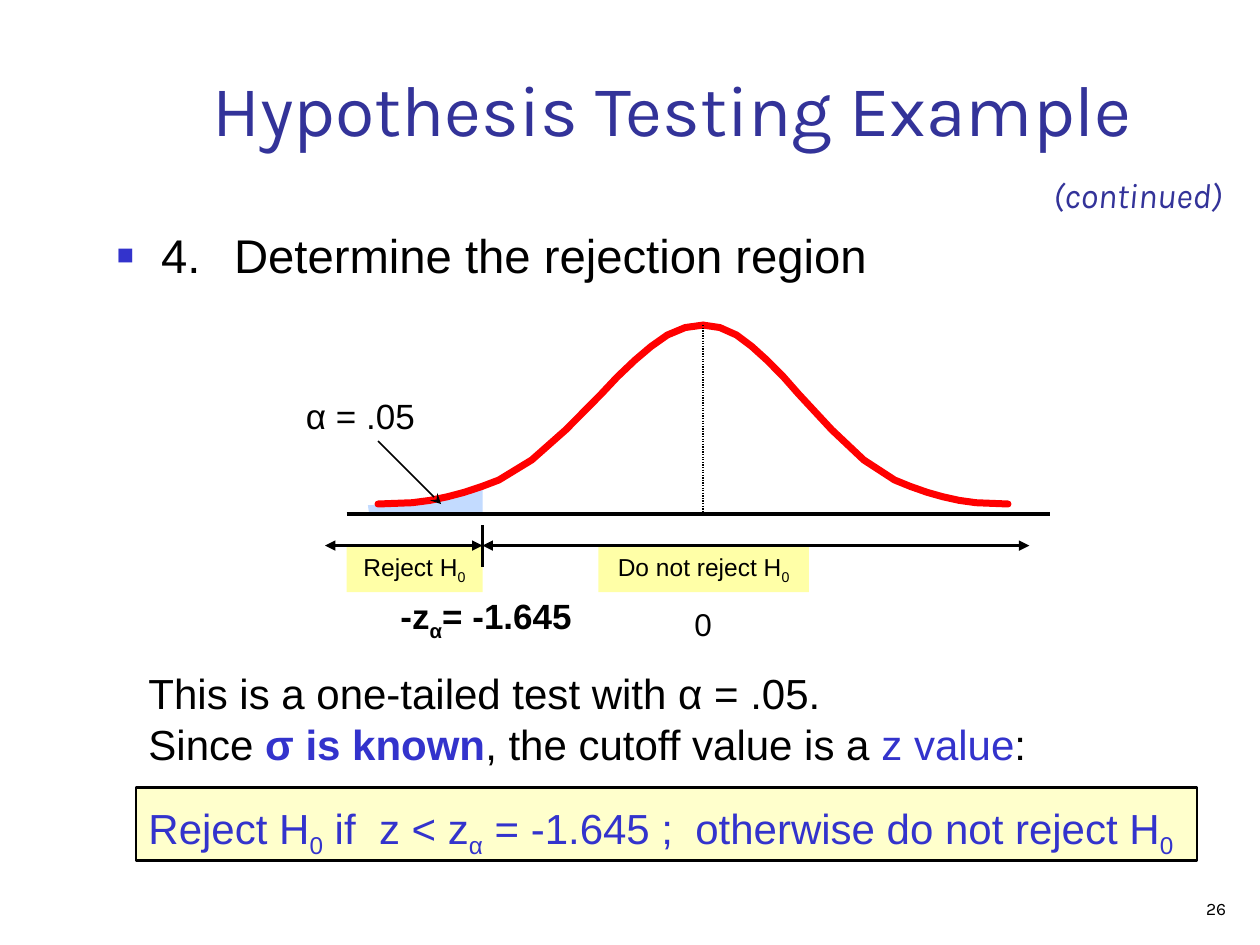
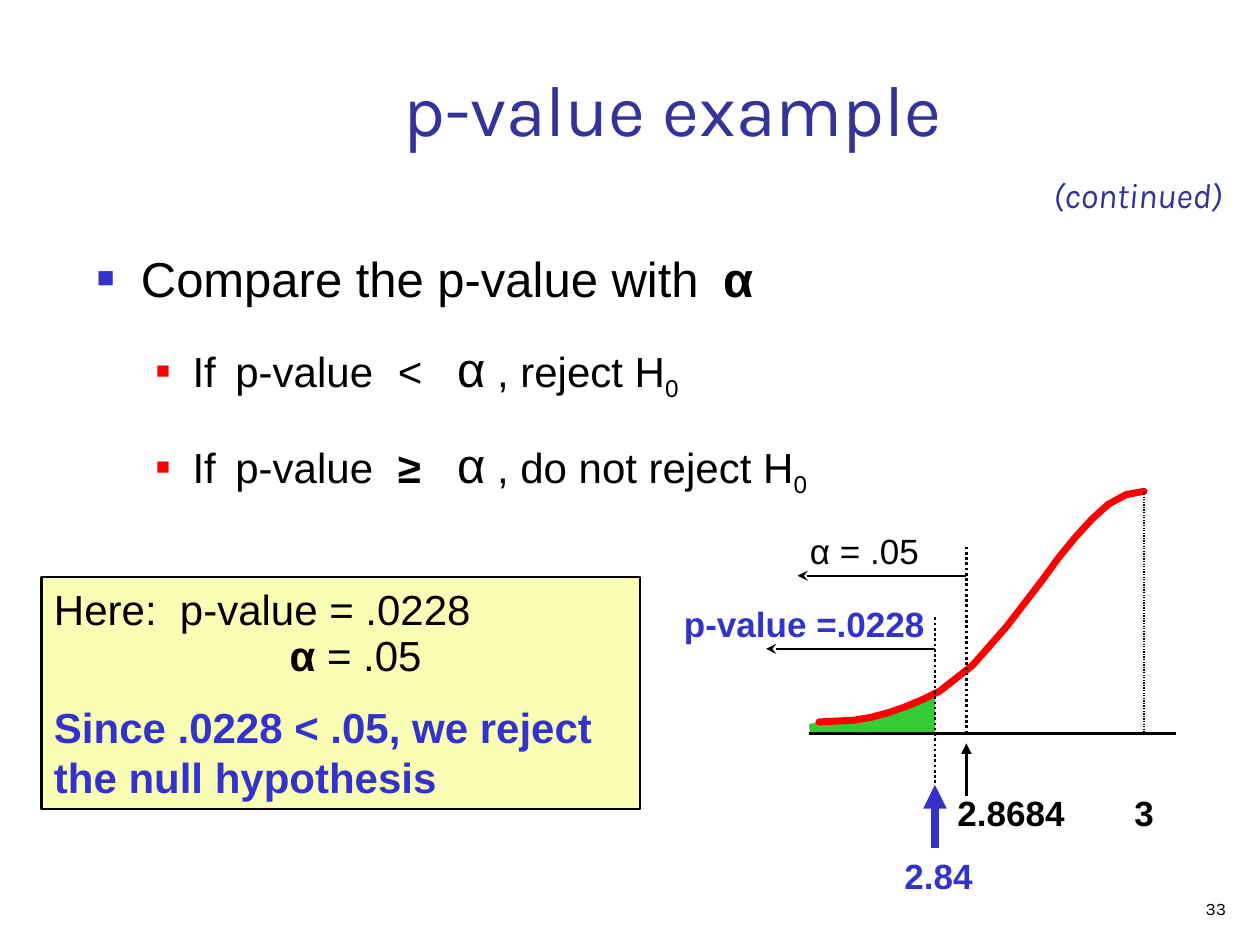
from lxml import etree
from pptx import Presentation
from pptx.dml.color import RGBColor
from pptx.enum.dml import MSO_LINE
from pptx.enum.shapes import MSO_CONNECTOR, MSO_SHAPE
from pptx.enum.text import MSO_ANCHOR, PP_ALIGN
from pptx.oxml.ns import qn
from pptx.util import Inches, Pt

LEFT, MID, RIGHT = PP_ALIGN.LEFT, PP_ALIGN.CENTER, PP_ALIGN.RIGHT
TOP, LOW = MSO_ANCHOR.TOP, MSO_ANCHOR.BOTTOM
RECT, LINE, DOTS = MSO_SHAPE.RECTANGLE, MSO_CONNECTOR.STRAIGHT, MSO_LINE.ROUND_DOT

COLORS = {
    "black": "000000", "title": "333399", "blue": "3333CC", "red": "FF0000",
    "label": "FFFFA7", "rule": "FFFFCC", "result": "FAFEB4",
    "sky": "C3DBFF", "green": "33CC33",
}
# Left half of the bell curve: percent of its width and height
BELL = [(0, 0), (10.5, 0.7), (16, 2), (21.3, 4), (26.5, 6.5), (32, 9.8),
        (37.2, 13.4), (47.3, 24.6), (57.8, 41.5), (68.6, 61.3), (73.6, 71),
        (79, 80.3), (84, 88), (89, 94.4), (94.5, 98.6), (100, 100)]

SUB = {"sub": True}
BOLD = {"bold": True}
BLUE = {"color": "blue"}
KEY = {"color": "blue", "bold": True}


def rgb(name):
    return RGBColor.from_string(COLORS[name])


def child(node, tag, **attrs):
    return etree.SubElement(node, qn(tag), attrs)


def add_marks(para, bullet, tabs):
    """Set the bullet, given as colour and percent size, and the tab stops."""
    props = para._p.get_or_add_pPr()
    if bullet:
        color, size = bullet
        child(child(props, "a:buClr"), "a:srgbClr", val=COLORS[color])
        child(props, "a:buSzPct", val=str(size * 1000))
        child(props, "a:buFont", typeface="Arial")
        child(props, "a:buChar", char="■")
    if tabs:
        stops = child(props, "a:tabLst")
        for stop in tabs:
            child(stops, "a:tab", pos=str(Inches(stop)), algn="l")


def add_run(para, words, size, color="black", font="Arial", bold=False,
            italic=False, sub=False):
    run = para.add_run()
    run.text = words
    face = run.font
    face.size, face.name, face.bold, face.italic = Pt(size), font, bold, italic
    face.color.rgb = rgb(color)
    if sub:
        run._r.get_or_add_rPr().set("baseline", "-25000")


def write(shape, *runs, size=24, align=LEFT, before=0, lines=None, bullet=None,
          indent=None, tabs=(), level=0, **face):
    """Add a paragraph; a run is a string or a pair of string and format."""
    frame = shape.text_frame
    para = frame.paragraphs[0]
    if para.runs:
        para = frame.add_paragraph()
        para.space_before = Pt(before)
    para.alignment, para.level = align, level
    if lines:
        para.line_spacing = lines
    if indent:
        props = para._p.get_or_add_pPr()
        left, hang = indent
        props.set("marL", str(Inches(left)))
        props.set("indent", str(Inches(-hang)))
    add_marks(para, bullet, tabs)
    for run in runs:
        words, extra = (run, {}) if isinstance(run, str) else run
        add_run(para, words, **{"size": size, **face, **extra})


def text_box(slide, x, y, w, h, *runs, anchor=TOP, wrap=True, **style):
    box = slide.shapes.add_textbox(Inches(x), Inches(y), Inches(w), Inches(h))
    box.text_frame.word_wrap = wrap
    box.text_frame.vertical_anchor = anchor
    if runs:
        write(box, *runs, **style)
    return box


def panel(slide, x, y, w, h, fill, border=True):
    shape = slide.shapes.add_shape(RECT, Inches(x), Inches(y), Inches(w), Inches(h))
    shape.shadow.inherit = False
    shape.fill.solid()
    shape.fill.fore_color.rgb = rgb(fill)
    if border:
        shape.line.color.rgb = rgb("black")
        shape.line.width = Pt(1.5)
    else:
        shape.line.fill.background()
    shape.text_frame.word_wrap = True
    shape.text_frame.vertical_anchor = TOP
    return shape


def line(slide, x1, y1, x2, y2, width=1.5, color="black", head=None, tail=None,
         dotted=False):
    link = slide.shapes.add_connector(
        LINE, Inches(x1), Inches(y1), Inches(x2), Inches(y2))
    link.line.color.rgb = rgb(color)
    link.line.width = Pt(width)
    if dotted:
        link.line.dash_style = DOTS
    props = link.element.spPr
    for tag, kind in (("a:headEnd", head), ("a:tailEnd", tail)):
        if kind:
            child(props.find(qn("a:ln")), tag, type=kind)
    child(props, "a:effectLst")


def outline(slide, points, closed):
    spots = [(Inches(x), Inches(y)) for x, y in points]
    pen = slide.shapes.build_freeform(*spots[0])
    pen.add_line_segments(spots[1:], close=closed)
    shape = pen.convert_to_shape()
    shape.shadow.inherit = False
    return shape


def area(slide, points, fill):
    shape = outline(slide, points, True)
    shape.fill.solid()
    shape.fill.fore_color.rgb = rgb(fill)
    shape.line.fill.background()


def half_bell(slide, foot, base, peak, top):
    """Draw half a bell curve from its foot to its peak, on either side."""
    points = [(foot + (peak - foot) * x / 100, base + (top - base) * y / 100)
              for x, y in BELL]
    shape = outline(slide, points, False)
    shape.fill.background()
    shape.line.color.rgb = rgb("red")
    shape.line.width = Pt(4)
    shape.element.spPr.find(qn("a:ln")).set("cap", "rnd")


def new_slide(deck, title, number):
    slide = deck.slides.add_slide(deck.slide_layouts[6])
    text_box(slide, 1.08, 0.42, 8.52, 0.83, title, anchor=LOW, size=41,
             align=MID, font="Karla", color="title")
    text_box(slide, 8.26, 1.33, 1.59, 0.44, "(continued)", wrap=False, size=20,
             font="Karla", color="title", italic=True)
    text_box(slide, 7.75, 7, 2.08, 0.34, number, anchor=LOW, size=10,
             align=RIGHT, font="Karla")
    return slide


def region_slide(deck):
    slide = new_slide(deck, "Hypothesis Testing Example", "26")
    text_box(slide, 0.83, 1.75, 8.83, 0.75, "4.\tDetermine the rejection region",
             size=27, bullet=("blue", 60), indent=(0.35, 0.35), tabs=[0.93])

    for x, w, words in ((2.75, 1.08, "Reject H"), (4.75, 1.67, "Do not reject H")):
        label = panel(slide, x, 4.33, w, 0.37, "label", border=False)
        write(label, words, ("0", SUB), size=14, align=MID)

    cut, mean, base = 3.83, 5.58, 4.08
    area(slide, [(2.93, base), (2.92, 4.01), (3.32, 3.99), (3.58, 3.92),
                 (3.71, 3.9), (cut, 3.83), (cut, base)], "sky")
    for foot in (3, 8):
        half_bell(slide, foot, 4, mean, 2.58)
    line(slide, 2.75, base, 8.33, base, width=2)
    line(slide, mean, 2.58, mean, base, width=0.75, dotted=True)
    line(slide, 3, 3.5, 3.5, 4, width=1, tail="stealth")
    line(slide, cut, 4.17, cut, 4.5)
    for start, end in ((cut, 8.17), (2.58, cut)):
        line(slide, start, 4.33, end, 4.33, head="triangle", tail="triangle")

    text_box(slide, 2.33, 3.08, 1.42, 0.43, "α = .05", size=20)
    text_box(slide, 3.08, 4.67, 1.58, 0.48, "-z", ("α", SUB), "= -1.645",
             size=20, bold=True)
    text_box(slide, 5.33, 4.75, 0.5, 0.4, "0", size=18, align=MID)

    panel(slide, 1.08, 6.25, 8.42, 0.58, "rule")
    notes = text_box(slide, 1.08, 5.25, 8.42, 1.63,
                     "This is a one-tailed test with α = .05.")
    write(notes, "Since ", ("σ is known", KEY), ", the cutoff value is a ",
          ("z value", BLUE), ":", before=15, lines=0.4)
    write(notes, "Reject H", ("0", SUB), " if\tz < z", ("α", SUB),
          " = -1.645 ;\totherwise do not reject H", ("0", SUB),
          before=15, lines=1.2, color="blue", tabs=[1.83, 4.34])


def value_slide(deck):
    slide = new_slide(deck, "p-value example", "33")
    body = text_box(slide, 0.67, 1.92, 6.58, 2.25, "Compare the p-value with\t",
                    ("α", BOLD), size=28, bullet=("blue", 60),
                    indent=(0.35, 0.35), tabs=[4.97])
    for sign, face, verdict in (("<", {}, "reject"), ("≥", BOLD, "do not reject")):
        write(body, "If\tp-value\t", (sign, face), "\t", ("α", {"size": 28}),
              f" , {verdict} H", ("0", SUB), before=18, level=1,
              bullet=("red", 55), indent=(0.76, 0.29), tabs=[1.1, 2.39, 2.86])

    result = panel(slide, 0.33, 4.58, 4.75, 1.84, "result")
    write(result, "Here:\tp-value = .0228", tabs=[1])
    write(result, "\t", ("α", BOLD), " = .05", before=15, lines=0.3, tabs=[1.87])
    write(result, "Since .0228 < .05, we reject the null hypothesis", before=15, **KEY)

    found, limit, mean, base = 7.42, 7.67, 9.08, 5.82
    area(slide, [(6.43, base), (6.42, 5.75), (6.52, 5.72), (6.83, 5.72),
                 (7.16, 5.63), (found, 5.51), (found, base)], "green")
    half_bell(slide, 6.5, 5.73, mean, 3.9)
    line(slide, mean, 3.9, mean, base, width=0.75, dotted=True)
    line(slide, limit, base, limit, 4.32, dotted=True)
    line(slide, found, 4.9, found, 6.23, dotted=True)
    line(slide, 6.42, base, 9.33, base)
    for x, y in ((limit, 4.57), (found, 5.15)):
        line(slide, x, y, x - 1.34, y, width=1, tail="stealth")
    line(slide, found, 6.73, found, 6.23, width=4.5, color="blue", tail="triangle")
    line(slide, limit, 6.32, limit, 5.9, tail="triangle")

    text_box(slide, 6.33, 4.15, 1.42, 0.43, "α = .05", size=20)
    text_box(slide, 5.33, 4.73, 2.25, 0.43, "p-value =.0228", size=20, **KEY)
    text_box(slide, 7.5, 6.23, 1.08, 0.44, "2.8684", size=20, bold=True)
    text_box(slide, 8.83, 6.23, 0.5, 0.44, "3", size=20, align=MID, bold=True)
    text_box(slide, 7.08, 6.73, 0.75, 0.44, "2.84", size=20, **KEY)


def main():
    deck = Presentation()
    deck.slide_width, deck.slide_height = Inches(10), Inches(7.5)
    region_slide(deck)
    value_slide(deck)
    deck.save("out.pptx")


if __name__ == "__main__":
    main()
